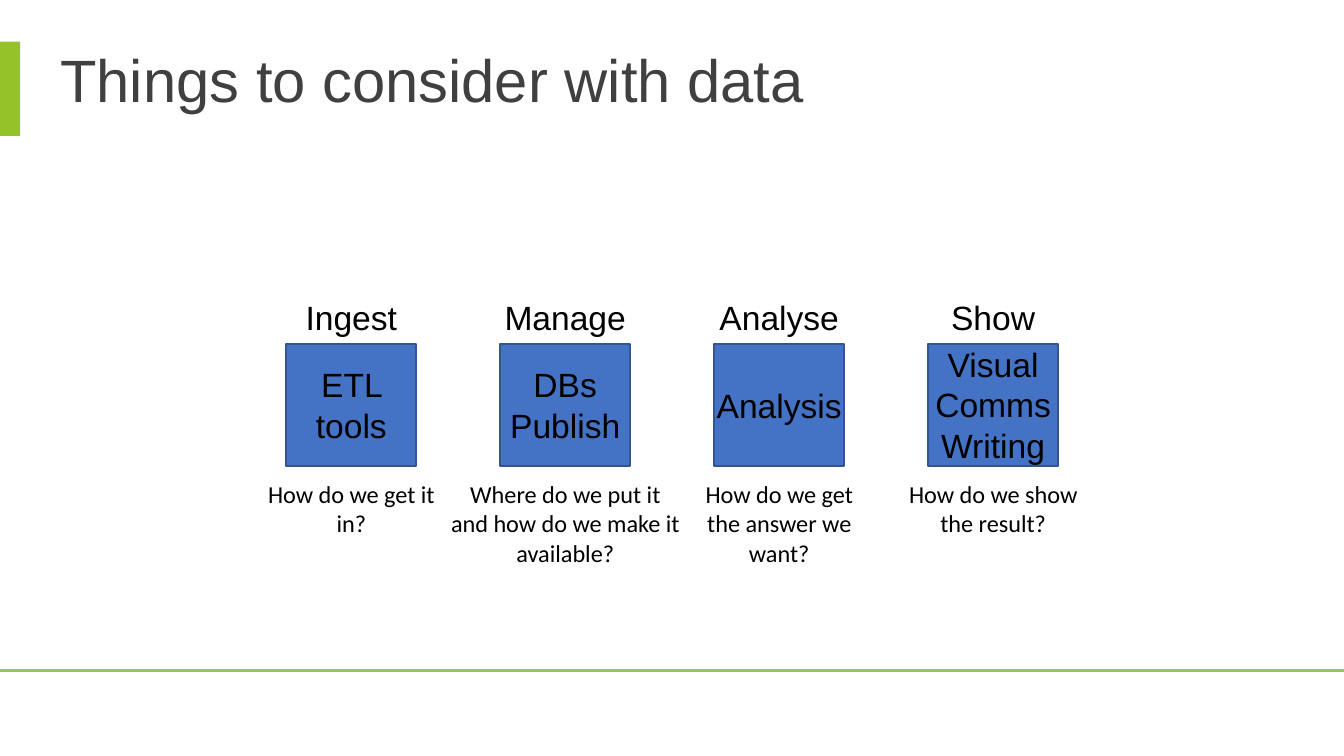
from dataclasses import dataclass
from typing import NamedTuple

from lxml.etree import SubElement
from pptx import Presentation
from pptx.dml.color import RGBColor
from pptx.enum.shapes import MSO_CONNECTOR as Connector, MSO_SHAPE as Shape
from pptx.enum.text import MSO_ANCHOR as Anchor, PP_ALIGN as Align
from pptx.oxml.ns import qn
from pptx.util import Cm, Pt


@dataclass(frozen=True)
class Theme:
    title_color: str = "404040"
    text_color: str = "000000"
    accent: str = "95C129"
    rule: str = "95C84B"
    square_fill: str = "4472C4"
    square_line: str = "325491"
    heading_font: str = "Arial"
    body_font: str = "Calibri"
    title_size: int = 32
    label_size: int = 18
    question_size: int = 13


class Box(NamedTuple):
    left: float
    top: float
    width: float
    height: float

    def lengths(self):
        return [Cm(value) for value in self]


class Stage(NamedTuple):
    name: str
    tools: tuple
    tools_width: float
    tools_lines: int
    question: str
    question_width: float
    question_lines: int


THEME = Theme()
STAGES = [
    Stage("Ingest", ("ETL tools",), 2.03, 2, "How do we get it in?", 4.06, 2),
    Stage("Manage", ("DBs", "Publish"), 2.67, 2,
          "Where do we put it and how do we make it available?", 4.85, 3),
    Stage("Analyse", ("Analysis",), 2.9, 1,
          "How do we get the answer we want?", 3.89, 3),
    Stage("Show", ("Visual", "Comms", "Writing"), 2.9, 3,
          "How do we show the result?", 3.89, 2),
]


def add_text(slide, box, lines, *, size, font=THEME.heading_font,
             color=THEME.text_color, align=Align.CENTER, spacing=None):
    frame = slide.shapes.add_textbox(*box.lengths()).text_frame
    frame.word_wrap = True
    frame.vertical_anchor = Anchor.TOP
    for index, line in enumerate(lines):
        paragraph = frame.add_paragraph() if index else frame.paragraphs[0]
        paragraph.alignment = align
        paragraph.line_spacing = spacing
        run = paragraph.add_run()
        run.text = line
        run.font.name = font
        run.font.size = Pt(size)
        run.font.color.rgb = RGBColor.from_string(color)


def add_rectangle(slide, box, fill, line=None):
    shape = slide.shapes.add_shape(Shape.RECTANGLE, *box.lengths())
    shape.shadow.inherit = False
    shape.fill.solid()
    shape.fill.fore_color.rgb = RGBColor.from_string(fill)
    if line:
        shape.line.color.rgb = RGBColor.from_string(line)
        shape.line.width = Pt(1)
    else:
        shape.line.fill.background()


def add_header(slide, box):
    add_rectangle(slide, Box(box.left, box.top, 0.38, 1.78), THEME.accent)
    title_box = Box(box.left + 0.89, box.top + 0.05, box.width - 0.89, box.height - 0.05)
    add_text(slide, title_box, ["Things to consider with data"], size=THEME.title_size,
             color=THEME.title_color, align=Align.LEFT, spacing=0.9)


def add_footer_rule(slide, box):
    left, top, width, _ = box.lengths()
    line = slide.shapes.add_connector(Connector.STRAIGHT, left, top, left + width, top)
    line.line.color.rgb = RGBColor.from_string(THEME.rule)
    line.line.width = Pt(1.5)
    SubElement(line._element.spPr, qn("a:effectLst"))


def add_stage(slide, box, stage):
    center = box.left + box.width / 2
    middle = box.top + box.height / 2

    def centered(width, top, height):
        return Box(center - width / 2, top, width, height)

    add_rectangle(slide, box, THEME.square_fill, THEME.square_line)
    add_text(slide, centered(2.84, box.top - 1.02, 1.02), [stage.name],
             size=THEME.label_size)
    tools_height = 0.25 + 0.77 * stage.tools_lines
    add_text(slide, centered(stage.tools_width, middle - tools_height / 2, tools_height),
             stage.tools, size=THEME.label_size)
    question_height = 0.25 + 0.56 * stage.question_lines
    add_text(slide, centered(stage.question_width, box.top + box.height + 0.13, question_height),
             [stage.question], size=THEME.question_size, font=THEME.body_font)


def add_stages(slide, box):
    square_width = 2.46
    pitch = (box.width - square_width) / (len(STAGES) - 1)
    for index, stage in enumerate(STAGES):
        square = Box(box.left + index * pitch, box.top, square_width, box.height)
        add_stage(slide, square, stage)


def main():
    presentation = Presentation()
    presentation.slide_width = Cm(25.4)
    presentation.slide_height = Cm(14.29)
    slide = presentation.slides.add_slide(presentation.slide_layouts[6])
    add_footer_rule(slide, Box(0, 12.67, 25.4, 0))
    add_header(slide, Box(0, 0.79, 19.15, 2.44))
    add_stages(slide, Box(5.41, 6.5, 14.59, 2.31))
    presentation.save("out.pptx")


if __name__ == "__main__":
    main()
